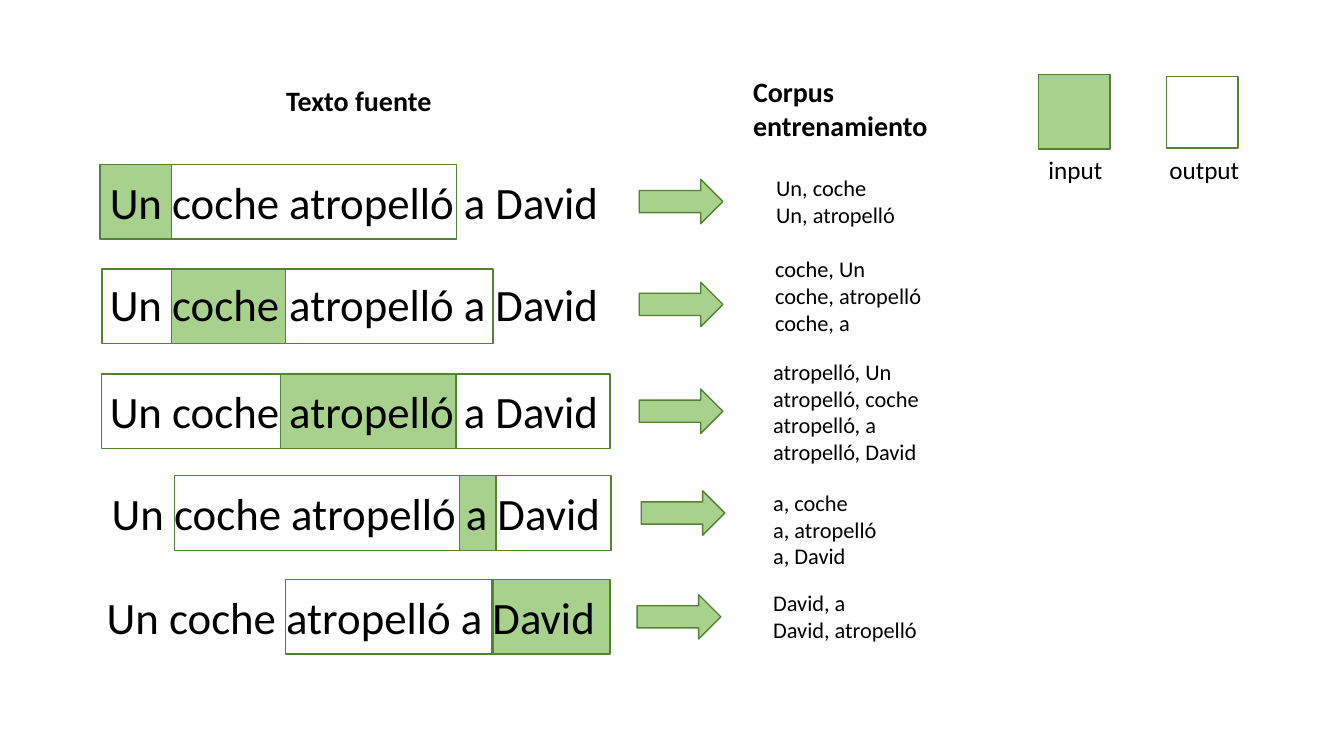
from dataclasses import dataclass

from pptx import Presentation
from pptx import util as u
from pptx.dml.color import RGBColor
from pptx.enum import shapes, text

FONT = "Calibri"
BLACK, GREEN, DARK_GREEN = "000000", "A9D18E", "548235"
SENTENCE = "Un coche atropelló a David"
BOX_HEIGHT = 0.74
LINE_HEIGHT = 0.27


@dataclass
class Row:
    top: float
    sentence_left: float
    sentence_top: float
    input_span: tuple      # left, width of the highlighted word
    context_spans: list    # left, width of each outlined context
    arrow_left: float
    arrow_top: float
    pairs_left: float
    pairs_top: float
    pairs: list


ROWS = [
    Row(1.63, 0.99, 1.68, (0.99, 0.71), [(1.7, 2.83)], 6.34, 1.78,
        7.6, 1.68, ["Un, coche", "Un, atropelló"]),
    Row(2.67, 0.99, 2.7, (1.7, 1.13), [(1.01, 0.69), (2.83, 2.06)], 6.34, 2.8,
        7.59, 2.48, ["coche, Un", "coche, atropelló", "coche, a"]),
    Row(3.71, 0.99, 3.76, (2.78, 1.75), [(1.01, 1.77), (4.52, 1.53)], 6.34, 3.86,
        7.57, 3.5, ["atropelló, Un", "atropelló, coche", "atropelló, a",
                    "atropelló, David"]),
    Row(4.72, 1.01, 4.77, (4.56, 0.36), [(1.73, 2.83), (4.92, 1.14)], 6.36, 4.87,
        7.57, 4.8, ["a, coche", "a, atropelló", "a, David"]),
    Row(5.75, 0.96, 5.8, (4.88, 1.17), [(2.83, 2.06)], 6.32, 5.9,
        7.57, 5.8, ["David, a", "David, atropelló"]),
]


def color(value):
    return RGBColor.from_string(value)


def add_shape(slide, left, top, width, height, fill=None,
              kind=shapes.MSO_SHAPE.RECTANGLE):
    shape = slide.shapes.add_shape(kind, *map(u.Inches, (left, top, width, height)))
    shape.shadow.inherit = False
    if fill:
        shape.fill.solid()
        shape.fill.fore_color.rgb = color(fill)
    else:
        shape.fill.background()
    shape.line.color.rgb = color(DARK_GREEN)
    shape.line.width = u.Pt(1)
    return shape


def add_text(slide, left, top, width, height, lines, size, bold=False):
    shape = slide.shapes.add_textbox(*map(u.Inches, (left, top, width, height)))
    frame = shape.text_frame
    frame.word_wrap = True
    frame.auto_size = text.MSO_AUTO_SIZE.SHAPE_TO_FIT_TEXT
    for index, line in enumerate(lines):
        paragraph = frame.add_paragraph() if index else frame.paragraphs[0]
        run = paragraph.add_run()
        run.text = line
        run.font.name = FONT
        run.font.size = u.Pt(size)
        run.font.bold = bold
        run.font.color.rgb = color(BLACK)
    return shape


def add_row(slide, row):
    # Highlighted word lies under the sentence, context outlines over it
    left, width = row.input_span
    add_shape(slide, left, row.top, width, BOX_HEIGHT, GREEN)
    add_text(slide, row.sentence_left, row.sentence_top, 6.61, 0.64, [SENTENCE], 32)
    for left, width in row.context_spans:
        add_shape(slide, left, row.top, width, BOX_HEIGHT)

    # Arrow to the training pairs
    add_shape(slide, row.arrow_left, row.arrow_top, 0.83, 0.44, GREEN,
              shapes.MSO_SHAPE.RIGHT_ARROW)
    add_text(slide, row.pairs_left, row.pairs_top, 2.2,
             0.1 + LINE_HEIGHT * len(row.pairs), row.pairs, 16)


def add_legend(slide):
    add_shape(slide, 10.3, 0.74, 0.71, BOX_HEIGHT, GREEN)
    add_shape(slide, 11.57, 0.76, 0.71, 0.71)
    add_text(slide, 10.3, 1.48, 0.89, 0.4, ["input"], 18)
    add_text(slide, 11.5, 1.48, 0.97, 0.4, ["output"], 18)


def main():
    presentation = Presentation()
    presentation.slide_width = u.Inches(13.33)
    presentation.slide_height = u.Inches(7.5)
    slide = presentation.slides.add_slide(
        presentation.slide_layouts.get_by_name("Blank"))

    # Column headings
    add_text(slide, 2.74, 0.78, 2.45, 0.44, ["Texto fuente"], 20, bold=True)
    add_text(slide, 7.37, 0.69, 2.45, 0.77, ["Corpus entrenamiento"], 20, bold=True)

    for row in ROWS:
        add_row(slide, row)
    add_legend(slide)

    presentation.save("out.pptx")


main()
